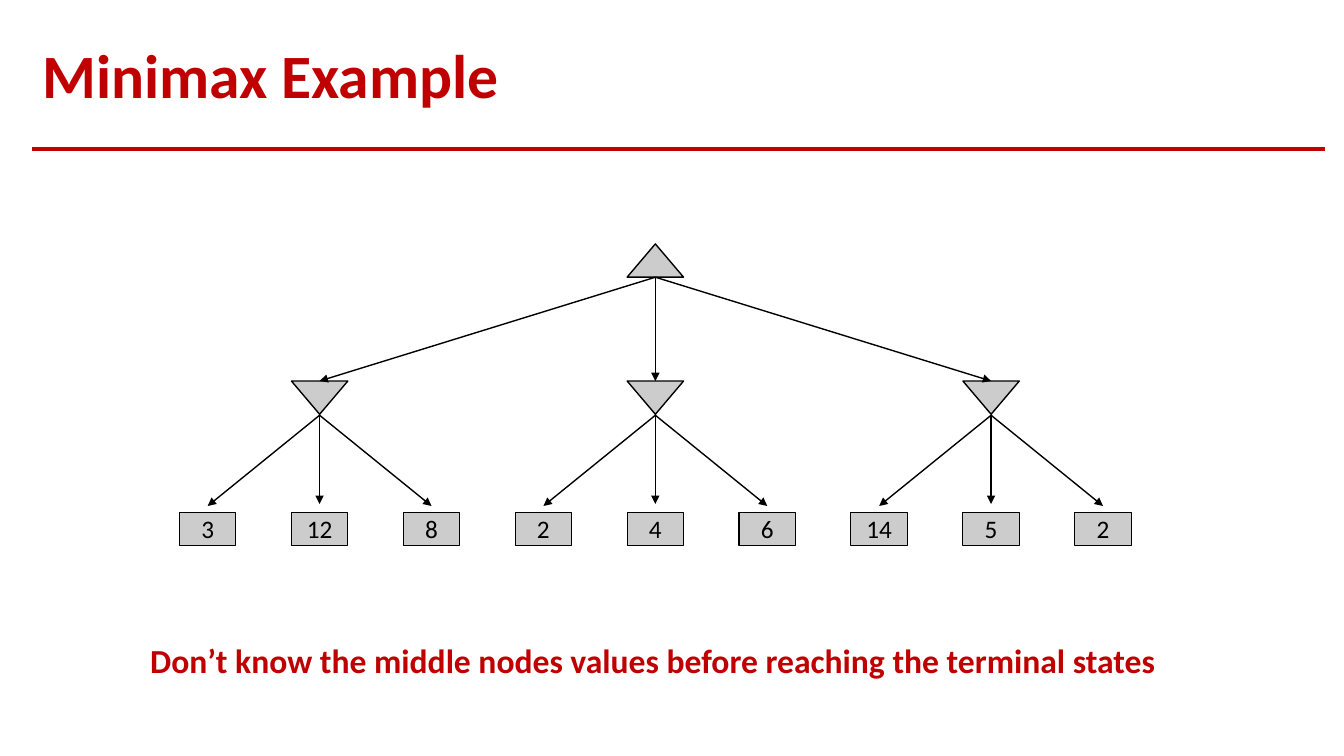
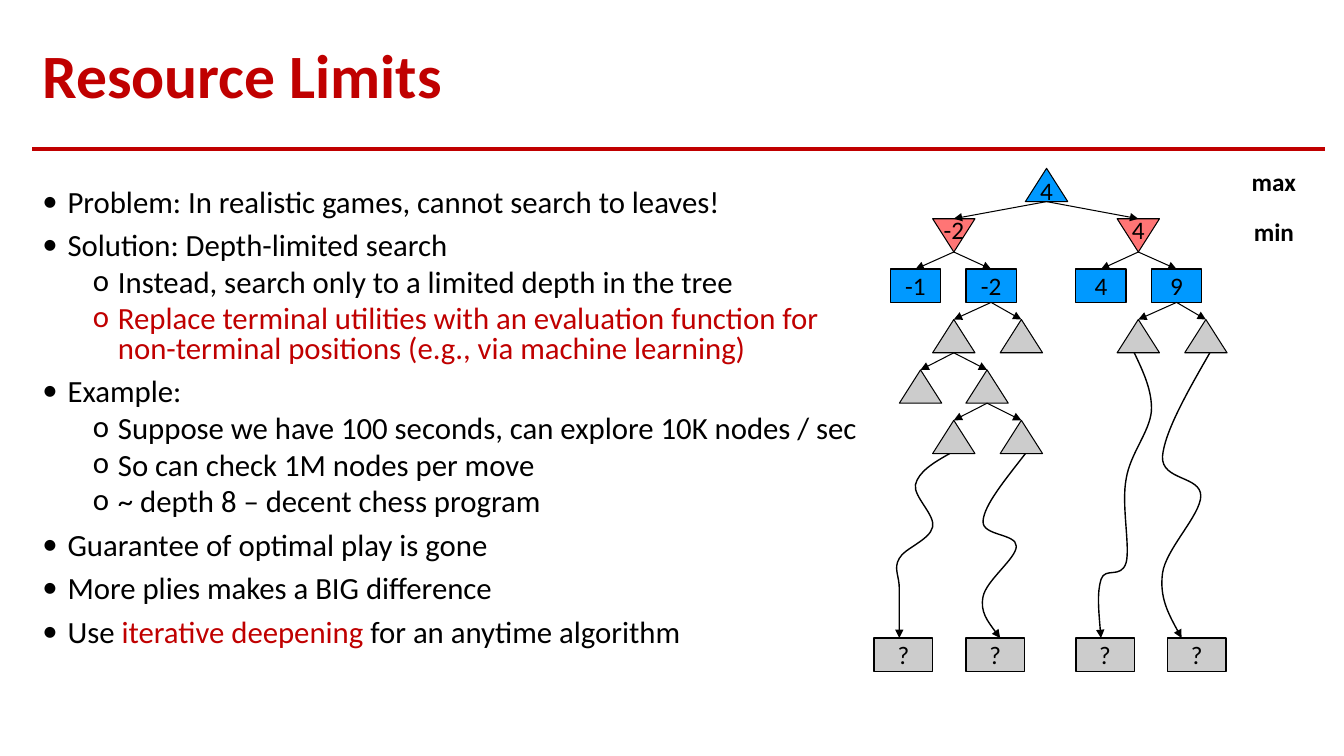
from lxml import etree
from pptx import Presentation
from pptx import util as u
from pptx.dml import color
from pptx.enum import shapes, text
from pptx.oxml import ns

FONT = "Calibri"
RED, BLACK, GRAY = "C00000", "000000", "CCCCCC"
BLUE, PINK = "0099FF", "FF7575"
HIGH = 0.33


def rgb(code):
    return color.RGBColor.from_string(code)


def add_run(para, words, size, ink=BLACK, bold=False):
    run = para.add_run()
    run.text = words
    font = run.font
    font.name, font.size, font.bold = FONT, u.Pt(size), bold
    font.color.rgb = rgb(ink)


def stroke(item, width, ink=BLACK):
    item.line.color.rgb = rgb(ink)
    item.line.width = u.Pt(width)


def add_head(item):
    line = item._element.spPr.find(ns.qn("a:ln"))
    etree.SubElement(line, ns.qn("a:tailEnd"), type="triangle")


def add_line(slide, x1, y1, x2, y2, width, ink=BLACK):
    ends = [u.Inches(n) for n in (x1, y1, x2, y2)]
    line = slide.shapes.add_connector(shapes.MSO_CONNECTOR.STRAIGHT, *ends)
    stroke(line, width, ink)
    etree.SubElement(line._element.spPr, ns.qn("a:effectLst"))
    return line


def add_arrow(slide, x1, y1, x2, y2, width):
    line = add_line(slide, x1, y1, x2, y2, width)
    add_head(line)
    return line


def add_node(slide, kind, mid, top, wide, fill, width, label=""):
    node = slide.shapes.add_shape(
        kind, u.Inches(mid - wide / 2), u.Inches(top), u.Inches(wide), u.Inches(HIGH))
    node.shadow.inherit = False
    node.fill.solid()
    node.fill.fore_color.rgb = rgb(fill)
    stroke(node, width)
    if label:
        frame = node.text_frame
        frame.word_wrap = False
        frame.vertical_anchor = text.MSO_ANCHOR.MIDDLE
        para = frame.paragraphs[0]
        para.alignment = text.PP_ALIGN.CENTER
        add_run(para, label, 18)
    return node


def add_box(slide, mid, top, wide, fill, width, label):
    return add_node(slide, shapes.MSO_SHAPE.RECTANGLE, mid, top, wide, fill, width, label)


def add_peak(slide, mid, top, wide, fill, width, label="", down=False):
    peak = add_node(slide, shapes.MSO_SHAPE.ISOSCELES_TRIANGLE,
                    mid, top, wide, fill, width, label)
    frame = peak.text_frame
    if down:
        peak.rotation = 180
    if label:
        frame.margin_top = u.Inches(0.1 if down else 0.2)
        if down:
            frame._txBody.bodyPr.set("rot", "10800000")
        else:
            frame.vertical_anchor = text.MSO_ANCHOR.BOTTOM


def add_curve(slide, points):
    spots = [(u.Inches(x), u.Inches(y)) for x, y in points]
    maker = slide.shapes.build_freeform(*spots[0])
    maker.add_line_segments(spots[1:], close=False)
    curve = maker.convert_to_shape()
    track = curve._element.find(".//" + ns.qn("a:path"))
    steps = track.findall(ns.qn("a:lnTo"))
    for first in range(0, len(steps), 3):
        bend = etree.SubElement(track, ns.qn("a:cubicBezTo"))
        for step in steps[first:first + 3]:
            bend.append(step[0])
            track.remove(step)
    curve.shadow.inherit = False
    curve.fill.background()
    stroke(curve, 1)
    add_head(curve)


def add_note(slide, place, words, size, ink, align, anchor):
    note = slide.shapes.add_textbox(*[u.Inches(n) for n in place])
    frame = note.text_frame
    frame.word_wrap = True
    frame.vertical_anchor = anchor
    para = frame.paragraphs[0]
    para.alignment = align
    add_run(para, words, size, ink, True)


def place_holder(holder, left, top, wide, high, anchor):
    holder.left, holder.top = u.Inches(left), u.Inches(top)
    holder.width, holder.height = u.Inches(wide), u.Inches(high)
    frame = holder.text_frame
    frame.word_wrap = True
    frame.auto_size = text.MSO_AUTO_SIZE.NONE
    frame.vertical_anchor = anchor
    return frame


def add_slide(deck, layout, title):
    slide = deck.slides.add_slide(deck.slide_layouts[layout])
    frame = place_holder(slide.shapes.title, 0.32, 0.28, 12.82, 1, text.MSO_ANCHOR.MIDDLE)
    para = frame.paragraphs[0]
    para.alignment = text.PP_ALIGN.LEFT
    para.line_spacing = 0.9
    add_run(para, title, 44, RED, True)
    return slide


def add_rule(deck, slide):
    rule = add_line(slide, 0.32, 1.48, 13.14, 1.48, 2.5, RED)
    deck.slide_master.shapes._spTree.append(rule._element)


def fill_list(holder, items):
    frame = place_holder(holder, 0.32, 1.83, 8.43, 4.95, text.MSO_ANCHOR.TOP)
    for order, (level, runs) in enumerate(items):
        para = frame.add_paragraph() if order else frame.paragraphs[0]
        para.level = level
        props = para._p.get_or_add_pPr()
        props.set("marL", str(u.Inches(0.25 + 0.5 * level)))
        props.set("indent", str(u.Inches(-0.25)))
        etree.SubElement(props, ns.qn("a:buFont"), typeface=FONT)
        etree.SubElement(props, ns.qn("a:buChar"), char="•o"[level])
        para.line_spacing = 0.8
        para.space_before = u.Pt((5 if level else 10) if order else 0)
        for words, ink in runs:
            add_run(para, words, 22, ink)


def draw_game(slide):
    mids = [2.06 + 1.11 * n for n in range(9)]
    root = mids[4]
    add_peak(slide, root, 2.42, 0.56, GRAY, 1)
    for mid, label in zip(mids, "3 12 8 2 4 6 14 5 2".split()):
        add_box(slide, mid, 5.08, 0.56, GRAY, 0.75, label)
    for hub in (1, 4, 7):
        add_peak(slide, mids[hub], 3.78, 0.56, GRAY, 1, down=True)
        add_arrow(slide, root, 2.75, mids[hub], 3.78, 1)
        for leaf in (hub - 1, hub, hub + 1):
            add_arrow(slide, mids[hub], 4.12, mids[leaf], 5 if leaf == hub else 5.02, 1)
    add_note(slide, (1.39, 6.3, 10.95, 0.5),
             "Don’t know the middle nodes values before reaching the terminal states",
             24, RED, text.PP_ALIGN.LEFT, text.MSO_ANCHOR.TOP)


def draw_search(slide):
    rows = [1.67 + 0.5 * n for n in range(6)]
    add_peak(slide, 10.38, rows[0], 0.42, BLUE, 0.75, "4")
    for mid, label in ((9.46, "-2"), (11.29, "4")):
        add_peak(slide, mid, rows[1], 0.42, PINK, 0.75, label, down=True)
    boxes = {}
    for mid, label in ((9.08, "-1"), (9.83, "-2"), (10.92, "4"), (11.67, "9")):
        boxes[mid, 2] = add_box(slide, mid, rows[2], 0.5, BLUE, 1, label)
    for row, mids in ((3, (9.46, 10.13, 11.29, 11.96)), (4, (9.13, 9.79)), (5, (9.46, 10.13))):
        for mid in mids:
            add_peak(slide, mid, rows[row], 0.42, GRAY, 0.75)
    links = [
        (0, 10.38, (9.46, 11.29)),
        (1, 9.46, (9.08, 9.83)),
        (1, 11.29, (10.92, 11.67)),
        (2, 9.83, (9.46, 10.13)),
        (2, 11.67, (11.29, 11.96)),
        (3, 9.46, (9.13, 9.79)),
        (4, 9.79, (9.46, 10.13)),
    ]
    for row, mid, kids in links:
        for kid in kids:
            line = add_arrow(slide, mid, rows[row] + HIGH, kid, rows[row + 1], 0.75)
            if (mid, row) in boxes:
                line.begin_connect(boxes[mid, row], 2)
            if (kid, row + 1) in boxes:
                line.end_connect(boxes[kid, row + 1], 0)
    for mid in (8.96, 9.87, 10.96, 11.87):
        add_box(slide, mid, 6.33, 0.58, GRAY, 1, "?")
    curves = [
        [(9.42, 4.5), (9.26, 4.59), (9.11, 4.68), (9.08, 4.81), (9.06, 4.93),
         (9.28, 5.11), (9.25, 5.23), (9.22, 5.36), (8.97, 5.44), (8.92, 5.54),
         (8.86, 5.64), (8.92, 5.71), (8.92, 5.84), (8.92, 5.98), (8.92, 6.16), (8.92, 6.33)],
        [(10.17, 4.5), (9.97, 4.76), (9.76, 5.01), (9.75, 5.17), (9.74, 5.32),
         (10.08, 5.29), (10.08, 5.42), (10.08, 5.54), (9.78, 5.76), (9.75, 5.92),
         (9.72, 6.07), (9.82, 6.2), (9.92, 6.33)],
        [(12, 3.5), (11.77, 3.9), (11.55, 4.29), (11.53, 4.53), (11.52, 4.77),
         (11.91, 4.72), (11.91, 4.92), (11.91, 5.11), (11.56, 5.45), (11.53, 5.69),
         (11.5, 5.93), (11.61, 6.13), (11.72, 6.33)],
        [(11.25, 3.5), (11.34, 3.69), (11.43, 3.88), (11.42, 4.08), (11.4, 4.29),
         (11.21, 4.5), (11.17, 4.75), (11.12, 5), (11.21, 5.42), (11.17, 5.58),
         (11.12, 5.75), (10.96, 5.62), (10.92, 5.75), (10.88, 5.88), (10.9, 6.1), (10.92, 6.33)],
    ]
    for points in curves:
        add_curve(slide, points)
    for top, label in ((1.6, "max"), (2.1, "min")):
        add_note(slide, (12.27, top, 0.73, 0.4), label, 18, BLACK,
                 text.PP_ALIGN.CENTER, text.MSO_ANCHOR.MIDDLE)


def main():
    deck = Presentation()
    deck.slide_width, deck.slide_height = u.Inches(13.33), u.Inches(7.5)
    game = add_slide(deck, 5, "Minimax Example")
    add_rule(deck, game)
    draw_game(game)
    limits = add_slide(deck, 1, "Resource Limits")
    fill_list(limits.placeholders[1], [
        (0, [("Problem: In realistic games, cannot search to leaves!", BLACK)]),
        (0, [("Solution: Depth-limited search", BLACK)]),
        (1, [("Instead, search only to a limited depth in the tree", BLACK)]),
        (1, [("Replace terminal utilities with an evaluation function for "
              "non-terminal positions (e.g., via machine learning)", RED)]),
        (0, [("Example:", BLACK)]),
        (1, [("Suppose we have 100 seconds, can explore 10K nodes / sec", BLACK)]),
        (1, [("So can check 1M nodes per move", BLACK)]),
        (1, [("~ depth 8 – decent chess program", BLACK)]),
        (0, [("Guarantee of optimal play is gone", BLACK)]),
        (0, [("More plies makes a BIG difference", BLACK)]),
        (0, [("Use ", BLACK), ("iterative deepening ", RED),
             ("for an anytime algorithm", BLACK)]),
    ])
    draw_search(limits)
    deck.save("out.pptx")


if __name__ == "__main__":
    main()
